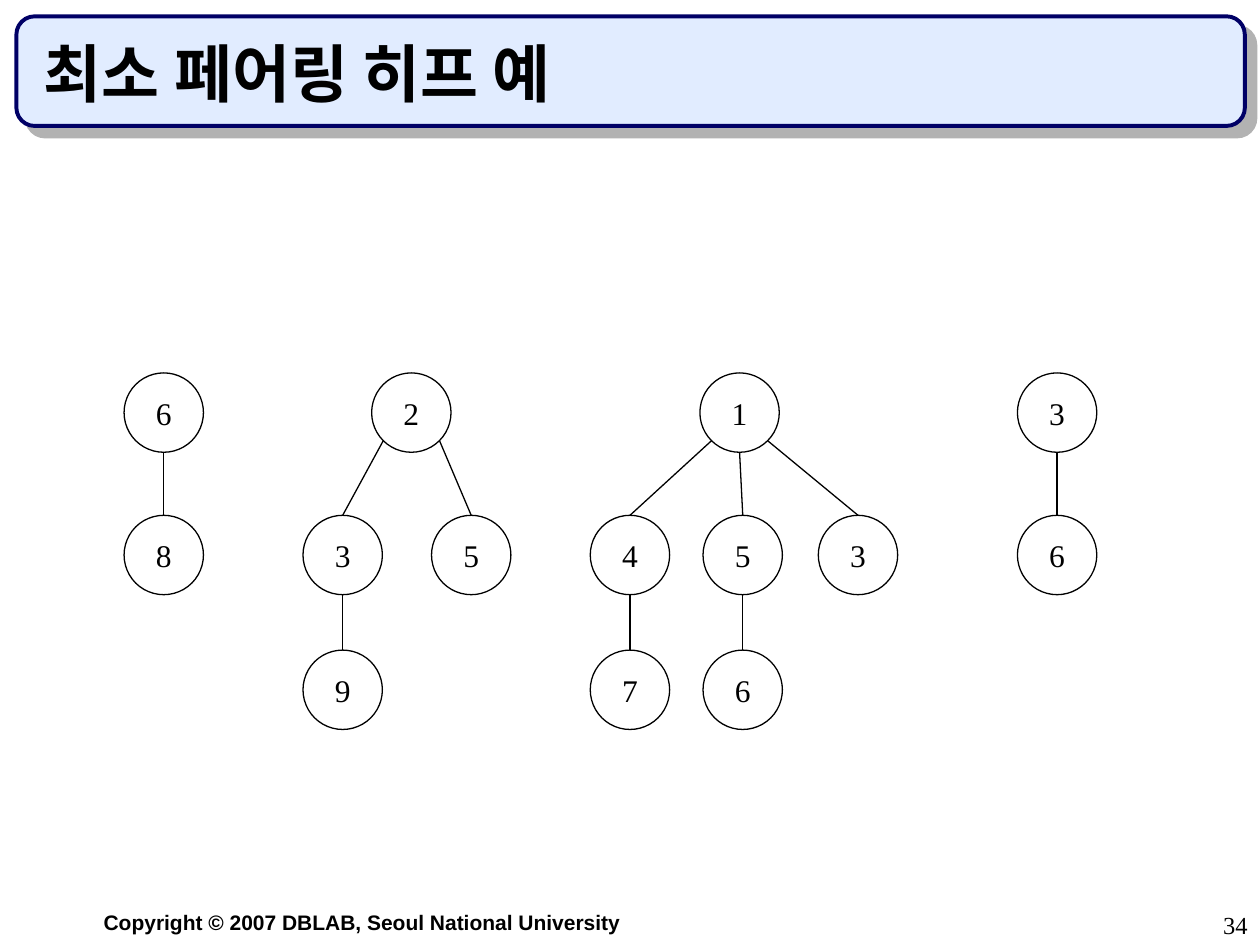
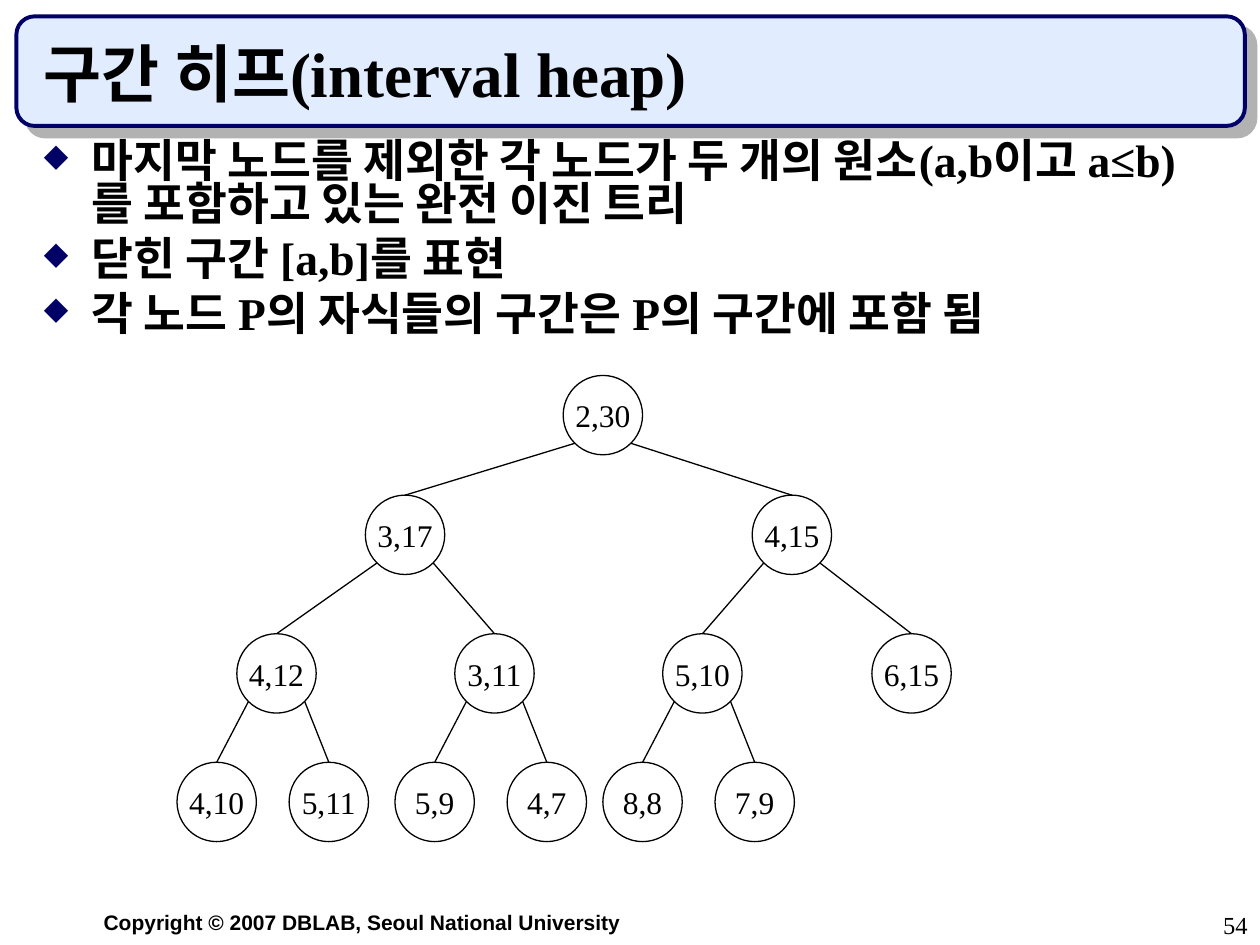
import pptx
import pptx.dml.color
import pptx.enum.shapes
import pptx.enum.text
import pptx.oxml
import pptx.oxml.ns
import pptx.util
from lxml import etree

RGBColor = pptx.dml.color.RGBColor
Pt = pptx.util.Pt
Align = pptx.enum.text.PP_ALIGN
Anchor = pptx.enum.text.MSO_ANCHOR
Shape = pptx.enum.shapes.MSO_SHAPE

BLACK = RGBColor(0x00, 0x00, 0x00)
NAVY = RGBColor(0x00, 0x00, 0x66)
PALE_BLUE = RGBColor(0xE1, 0xEC, 0xFF)
SHADOW_GREY = RGBColor(0xB2, 0xB2, 0xB2)

SERIF, SANS = "Times New Roman", "Arial"
COLUMNS, ROWS = 100, 75  # square grid cells, a tenth of an inch
NODE = 6.3  # node diameter in cells
COPYRIGHT = "Copyright © 2007 DBLAB, Seoul National University"


class Deck:
    """Holds the style and the current slide; lengths are grid cells."""

    def __init__(self):
        self.prs = pptx.Presentation()
        self.prs.slide_width = pptx.util.Inches(10)
        self.prs.slide_height = pptx.util.Inches(7.5)
        self.slide = None

    def cells(self, left, top, width, height):
        col = self.prs.slide_width / COLUMNS
        row = self.prs.slide_height / ROWS
        return [round(n) for n in
                (left * col, top * row, width * col, height * row)]

    def add_slide(self, title, number):
        self.slide = self.prs.slides.add_slide(self.prs.slide_layouts[6])
        self.title_band()
        self.text((2.5, 71.7, 52.5, 3), [COPYRIGHT], 12, bold=True,
                  font=SANS, align=Align.CENTER)
        self.text((2.5, 2.5, 94.2, 6.7), [title], 36, bold=True,
                  anchor=Anchor.BOTTOM)
        self.text((79.2, 71.7, 20.8, 3.3), [str(number)], 14,
                  align=Align.RIGHT)

    def title_band(self):
        band = self.slide.shapes.add_shape(
            Shape.ROUNDED_RECTANGLE, *self.cells(1.3, 1.3, 97.5, 8.7))
        band.fill.solid()
        band.fill.fore_color.rgb = PALE_BLUE
        band.line.color.rgb = NAVY
        band.line.width = Pt(2.25)
        band.shadow.inherit = False
        effects = band._element.spPr.find(pptx.oxml.ns.qn("a:effectLst"))
        cast = etree.SubElement(
            effects, pptx.oxml.ns.qn("a:outerShdw"), dist=str(Pt(8.5)),
            dir="2700000", algn="ctr", rotWithShape="0")
        etree.SubElement(cast, pptx.oxml.ns.qn("a:srgbClr"),
                         val=str(SHADOW_GREY))

    def style(self, paragraph, size, bold=False, font=SERIF):
        paragraph.font.size = Pt(size)
        paragraph.font.bold = bold
        paragraph.font.name = font
        paragraph.font.color.rgb = BLACK

    def text(self, area, lines, size, bold=False, font=SERIF,
             align=Align.LEFT, anchor=Anchor.TOP, bulleted=False):
        frame = self.slide.shapes.add_textbox(*self.cells(*area)).text_frame
        frame.word_wrap = True
        frame.vertical_anchor = anchor
        for i, line in enumerate(lines):
            paragraph = frame.add_paragraph() if i else frame.paragraphs[0]
            paragraph.text = line
            if bulleted:
                self.bullet(paragraph)
                paragraph.line_spacing = 0.8
                if i:
                    paragraph.space_before = Pt(6.5)
            paragraph.alignment = align
            self.style(paragraph, size, bold, font)

    def bullet(self, paragraph):
        props = paragraph._p.get_or_add_pPr()
        indent = pptx.util.Inches(0.38)
        props.set("marL", str(indent))
        props.set("indent", str(-indent))
        color = etree.SubElement(props, pptx.oxml.ns.qn("a:buClr"))
        etree.SubElement(color, pptx.oxml.ns.qn("a:srgbClr"), val=str(NAVY))
        etree.SubElement(props, pptx.oxml.ns.qn("a:buSzPct"), val="70000")
        etree.SubElement(props, pptx.oxml.ns.qn("a:buChar"), char="◆")

    def node(self, label, center, top):
        circle = self.slide.shapes.add_shape(
            Shape.OVAL, *self.cells(center - NODE / 2, top, NODE, NODE))
        circle.fill.background()
        circle.line.color.rgb = BLACK
        circle.line.width = Pt(0.75)
        circle.shadow.inherit = False
        frame = circle.text_frame
        frame.word_wrap = False
        frame.vertical_anchor = Anchor.MIDDLE
        frame.text = label
        frame.paragraphs[0].alignment = Align.CENTER
        self.style(frame.paragraphs[0], 18)

    def edge(self, parent, parent_top, child, child_top):
        """Leave the circle at its foot, or at 45 degrees for a side child."""
        radius = NODE / 2
        shift = child - parent
        side = 0 if abs(shift) < 1 else radius * 0.71 * (1 if shift > 0 else -1)
        drop = radius * (1.71 if side else 2)
        link = self.slide.shapes.add_connector(
            pptx.enum.shapes.MSO_CONNECTOR.STRAIGHT,
            *self.cells(parent + side, parent_top + drop, child, child_top))
        link.line.color.rgb = BLACK
        link.line.width = Pt(0.75)
        etree.SubElement(link._element.spPr, pptx.oxml.ns.qn("a:effectLst"))

    def tree(self, root, tops, level=0):
        """Draw a (label, center column, *children) tree, one top per level."""
        label, center, *children = root
        self.node(label, center, tops[level])
        for child in children:
            self.edge(center, tops[level], child[1], tops[level + 1])
            self.tree(child, tops, level + 1)


def with_leaves(label, center, left, right):
    return label, center, (left, center - 4.75), (right, center + 4.15)


# Min pairing heaps
PAIRING_TOPS = (29.6, 40.9, 51.6)
PAIRING_HEAPS = (
    ("6", 13, ("8", 13)),
    ("2", 32.65, ("3", 27.2, ("9", 27.2)), ("5", 37.4)),
    ("1", 58.7, ("4", 50, ("7", 50)), ("5", 58.95, ("6", 58.95)),
     ("3", 68.1)),
    ("3", 83.9, ("6", 83.9)),
)

# Interval heap
INTERVAL_TOPS = (29.8, 39.3, 50.3, 60.5)
INTERVAL_HEAP = (
    "2,30", 47.85,
    ("3,17", 32.15,
     with_leaves("4,12", 21.95, "4,10", "5,11"),
     with_leaves("3,11", 39.25, "5,9", "4,7")),
    ("4,15", 62.85,
     with_leaves("5,10", 55.75, "8,8", "7,9"),
     ("6,15", 72.35)),
)
INTERVAL_POINTS = (
    "마지막 노드를 제외한 각 노드가 두 개의 원소(a,b이고 a≤b)를 포함하고 있는 완전 이진 트리",
    "닫힌 구간 [a,b]를 표현",
    "각 노드 P의 자식들의 구간은 P의 구간에 포함 됨",
)


def main():
    deck = Deck()

    deck.add_slide("최소 페어링 히프 예", 34)
    for heap in PAIRING_HEAPS:
        deck.tree(heap, PAIRING_TOPS)

    deck.add_slide("구간 히프(interval heap)", 54)
    deck.text((2.5, 10.8, 94.2, 58.3), INTERVAL_POINTS, 26, bold=True,
              bulleted=True)
    deck.tree(INTERVAL_HEAP, INTERVAL_TOPS)

    deck.prs.save("out.pptx")


if __name__ == "__main__":
    main()
